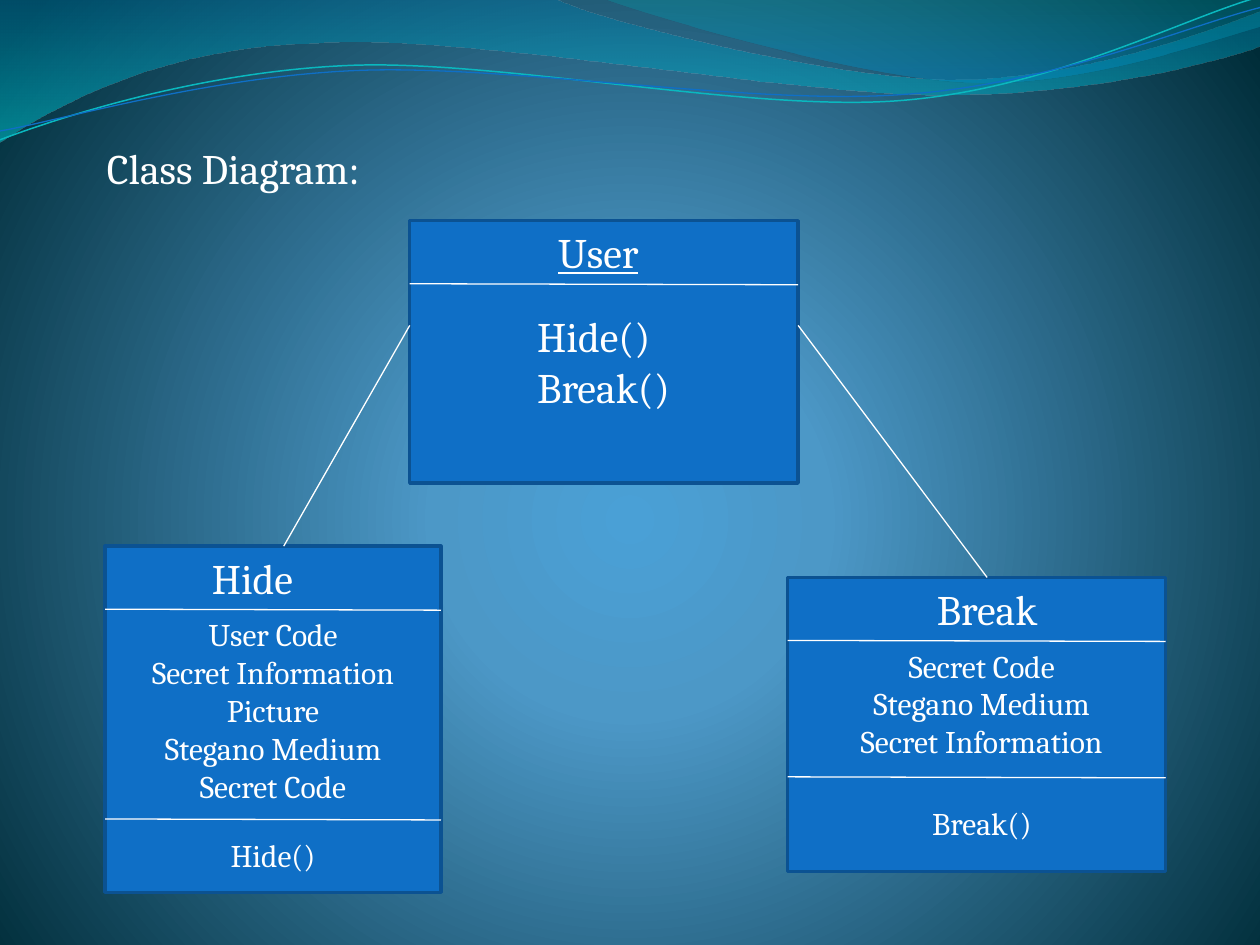
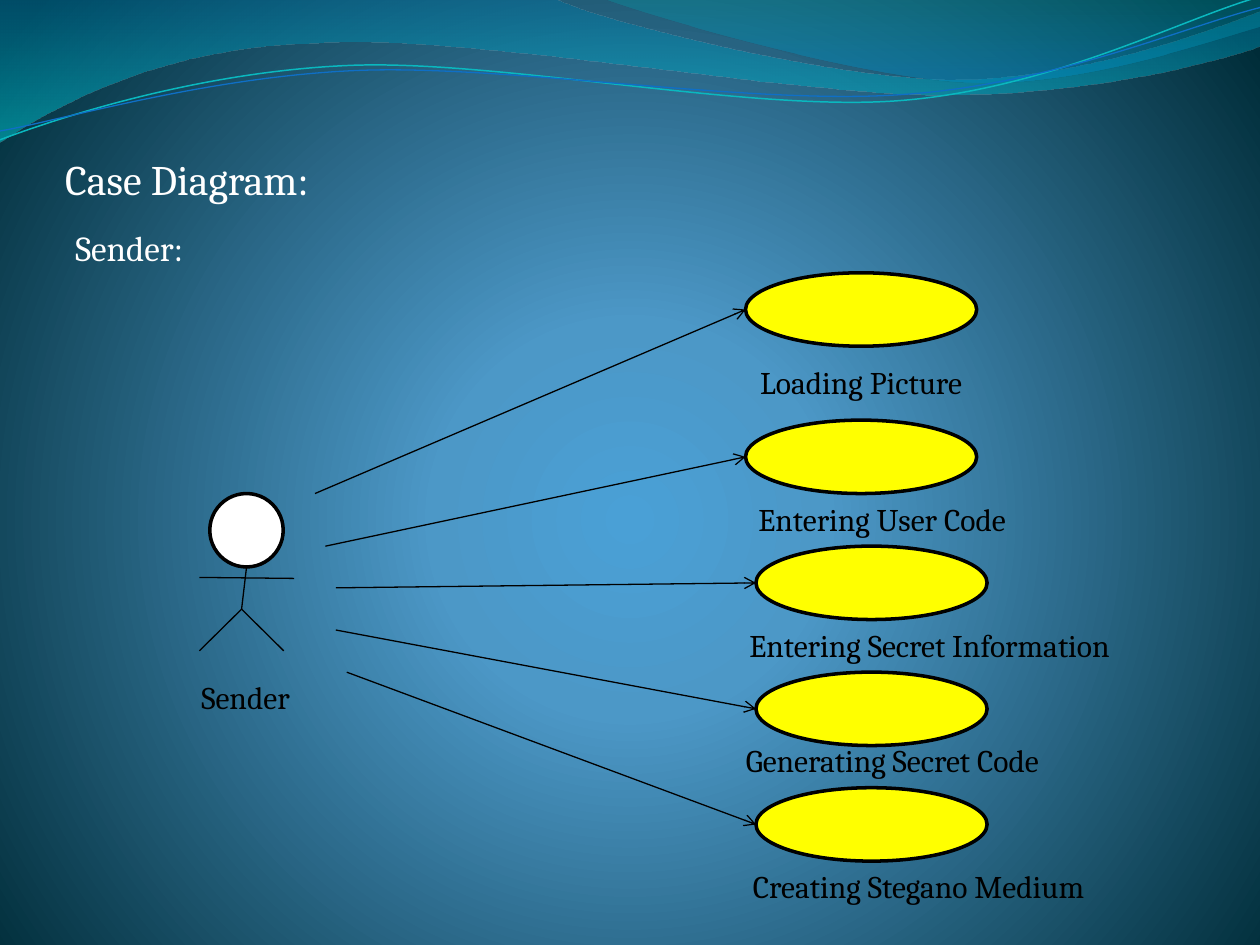
from dataclasses import dataclass

from pptx import Presentation
from pptx.dml.color import RGBColor
from pptx.enum.shapes import MSO_CONNECTOR, MSO_SHAPE
from pptx.enum.text import MSO_ANCHOR, MSO_AUTO_SIZE, PP_ALIGN
from pptx.oxml import parse_xml
from pptx.oxml.ns import nsdecls
from pptx.util import Cm, Pt


@dataclass(frozen=True)
class Theme:
    """Colours, type sizes and line widths of the deck."""
    font: str = "Cambria"
    white: str = "FFFFFF"
    black: str = "000000"
    blue: str = "0F6FC6"
    navy: str = "0B5292"
    teal: str = "0AB8BF"
    yellow: str = "FFFF00"
    title: int = 24
    sub: int = 20
    body: int = 18
    thick: float = 2
    thin: float = 0.75
    glow: tuple = ((0, "4AA0D6", 100), (25, "4C98C7", 100), (100, "002C38", 100))
    sea: tuple = ((0, "0074A1", 45), (100, "00C6CF", 55))
    foam: tuple = ((0, "00A1A9", 30), (80, "008BBF", 45))


THEME = Theme()
LEFT, MID = PP_ALIGN.LEFT, PP_ALIGN.CENTER
DOWN = '<a:lin ang="5400000" scaled="0"/>'
ROUND = ('<a:path path="circle"><a:fillToRect l="10000" t="110000" '
         'r="10000" b="100000"/></a:path>')
SLANT = 0.02

BAND = [(0, 0), (440, -1), (476, 17, 664, 63, 758, 63),
        (853, 63, 958, 26, 1000, 9), (1001, 36),
        (983, 44, 870, 76, 746, 75), (622, 75, 382, 28, 257, 34),
        (129, 36, 46, 83, -1, 113)]
CREST = [(479, -1), (509, 11, 682, 62, 769, 65),
         (856, 69, 961, 32, 1000, 21), (1000, 0)]
UPPER = [(0, 111), (48, 93, 158, 57, 277, 52),
         (395, 47, 593, 89, 713, 80), (833, 71, 938, 15, 998, -2)]
LOWER = [(0, 104), (47, 96, 164, 61, 283, 56),
         (403, 51, 597, 84, 717, 75), (836, 67, 941, 21, 1000, 6)]


def rgb(code):
    """Turn a hex code into a colour."""
    return RGBColor.from_string(code)


def blend(node, stops, shade):
    """Swap the solid fill of a node for a gradient."""
    marks = "".join(
        f'<a:gs pos="{pos * 1000}"><a:srgbClr val="{code}">'
        f'<a:alpha val="{alpha * 1000}"/></a:srgbClr></a:gs>'
        for pos, code, alpha in stops)
    old = node.xpath(".//a:solidFill")[0]
    old.getparent().replace(old, parse_xml(
        f'<a:gradFill {nsdecls("a")} rotWithShape="1">'
        f'<a:gsLst>{marks}</a:gsLst>{shade}</a:gradFill>'))


def bend(wave, route):
    """Turn each run of three control points into one curve."""
    legs = iter(wave.element.xpath(".//a:lnTo"))
    for part in route[1:]:
        group = [next(legs) for _ in range(len(part) // 2)]
        if len(group) == 3:
            curve = parse_xml(f'<a:cubicBezTo {nsdecls("a")}/>')
            group[0].addprevious(curve)
            for leg in group:
                curve.append(leg[0])
                leg.getparent().remove(leg)


def add_wave(slide, route, stops=None, code=None, width=0):
    """Draw a filled wave or a wavy line."""
    spots = [part[i:i + 2] for part in route for i in range(0, len(part), 2)]
    pen = slide.shapes.build_freeform(*spots[0], scale=Cm(25.4) / 1000)
    pen.add_line_segments(spots[1:], close=bool(stops))
    wave = pen.convert_to_shape()
    bend(wave, route)
    wave.shadow.inherit = False
    if stops:
        wave.fill.solid()
        blend(wave.element, stops, DOWN)
        wave.line.fill.background()
    else:
        wave.fill.background()
        wave.line.color.rgb = rgb(code)
        wave.line.width = Pt(width)
    return wave


def dress(layout, slide):
    """Give the layout its glow and its waves."""
    layout.background.fill.solid()
    blend(layout.element.xpath(".//p:bgPr")[0], THEME.glow, ROUND)
    waves = [add_wave(slide, BAND, THEME.sea),
             add_wave(slide, CREST, THEME.foam),
             add_wave(slide, UPPER, code=THEME.teal, width=0.85),
             add_wave(slide, LOWER, code=THEME.blue, width=THEME.thin)]
    for rank, wave in enumerate(waves):
        wave.element.xpath(".//p:cNvPr")[0].set("id", str(90 + rank))
        layout.shapes.element.insert(2 + rank, wave.element)


def write(frame, lines, size, code, align):
    """Fill a text frame with lines of one style."""
    frame.word_wrap = True
    frame.auto_size = MSO_AUTO_SIZE.NONE
    frame.vertical_anchor = MSO_ANCHOR.TOP
    frame.text = "\n".join(lines)
    for para in frame.paragraphs:
        para.alignment = align
        para.font.name = THEME.font
        para.font.size = Pt(size)
        para.font.color.rgb = rgb(code)


def place(shape, left, top, width, height):
    """Move and size a shape."""
    shape.left, shape.top = Cm(left), Cm(top)
    shape.width, shape.height = Cm(width), Cm(height)


def add_title(slide, text, left, top, width):
    """Set the title of a slide."""
    place(slide.shapes.title, left, top, width, 1.27)
    write(slide.shapes.title.text_frame, [text], THEME.title, THEME.white, LEFT)


def add_text(slide, lines, spot, size=THEME.body, code=THEME.white, align=MID):
    """Add a text box at left, top and width."""
    left, top, width = spot
    high = len(lines) * size * 0.042 + 0.25
    box = slide.shapes.add_textbox(Cm(left), Cm(top), Cm(width), Cm(high))
    write(box.text_frame, lines, size, code, align)
    return box


def add_form(slide, kind, area, fill, edge):
    """Add a filled and outlined preset shape."""
    form = slide.shapes.add_shape(kind, *map(Cm, area))
    form.shadow.inherit = False
    form.fill.solid()
    form.fill.fore_color.rgb = rgb(fill)
    form.line.color.rgb = rgb(edge)
    form.line.width = Pt(THEME.thick)


def add_line(slide, start, end, code, arrow=False):
    """Join two points, with an arrowhead if asked."""
    line = slide.shapes.add_connector(
        MSO_CONNECTOR.STRAIGHT, *map(Cm, (*start, *end)))
    line.line.color.rgb = rgb(code)
    line.line.width = Pt(THEME.thin)
    if arrow:
        line.element.xpath(".//a:ln")[0].append(
            parse_xml(f'<a:tailEnd {nsdecls("a")} type="arrow"/>'))
    line.element.spPr.append(parse_xml(f'<a:effectLst {nsdecls("a")}/>'))


def add_class(slide, area, rules):
    """Add a class box with its dividing rules."""
    left, top, width, _ = area
    add_form(slide, MSO_SHAPE.RECTANGLE, area, THEME.blue, THEME.navy)
    for rule in rules:
        add_line(slide, (left, top + rule), (left + width, top + rule + SLANT),
                 THEME.white)


def add_actor(slide):
    """Draw the stick figure and its label."""
    add_form(slide, MSO_SHAPE.OVAL, (4.23, 9.95, 1.48, 1.48),
             THEME.white, THEME.black)
    hip = (4.87, 12.28)
    limbs = [((4.97, 11.43), hip), (hip, (4.02, 13.12)),
             (hip, (5.72, 13.12)), ((4.02, 11.64), (5.93, 11.64 + SLANT))]
    for start, end in limbs:
        add_line(slide, start, end, THEME.black)
    add_text(slide, ["Sender"], (3.81, 13.55, 3.18), code=THEME.black,
             align=LEFT)


def add_case(slide, text, left, top, spot, start):
    """Add a use case: oval, label and arrow."""
    width, height = 4.66, 1.48
    add_form(slide, MSO_SHAPE.OVAL, (left, top, width, height),
             THEME.yellow, THEME.black)
    add_text(slide, [text], spot, code=THEME.black)
    add_line(slide, start, (left, top + height / 2), THEME.black, arrow=True)


def draw_class(slide):
    """Build the class diagram."""
    add_title(slide, "Class Diagram:", 1.9, 2.75, 7.2)
    add_class(slide, (8.26, 4.45, 7.83, 5.29), [1.27])
    add_class(slide, (2.12, 11.01, 6.77, 6.98), [1.27, 5.5])
    add_class(slide, (15.88, 11.64, 7.62, 5.93), [1.27, 4.02])

    user = add_text(slide, ["User"], (11, 4.45, 2.33), THEME.title, align=LEFT)
    user.text_frame.paragraphs[0].font.underline = True
    add_text(slide, ["Hide()", "Break()"], (10.58, 6.14, 5.29), THEME.title,
             align=LEFT)

    add_text(slide, ["Hide"], (4.02, 11.01, 2.54), THEME.title, align=LEFT)
    add_text(slide, ["User Code", "Secret Information", "Picture",
                     "Stegano Medium", "Secret Code"], (0.85, 12.28, 9.31))
    add_text(slide, ["Hide()"], (3.39, 16.72, 4.23))

    add_text(slide, ["Break"], (17.57, 11.64, 4.66), THEME.title)
    add_text(slide, ["Secret Code", "Stegano Medium", "Secret Information"],
             (15.45, 12.91, 8.68))
    add_text(slide, ["Break()"], (17.36, 16.09, 4.87))

    add_line(slide, (5.72, 11.01), (8.26, 6.56), THEME.white)
    add_line(slide, (16.09, 6.56), (19.9, 11.64), THEME.white)


def draw_case(slide):
    """Build the use case diagram."""
    add_title(slide, "Case Diagram:", 1.06, 2.96, 6.56)
    add_text(slide, ["Sender:"], (1.27, 4.45, 5.93), THEME.sub, align=LEFT)
    add_actor(slide)
    cases = [
        ("Loading Picture", 15.03, 5.5, (13.76, 7.2, 7.2), (6.35, 9.95)),
        ("Entering User Code", 15.03, 8.47, (13.55, 9.95, 8.47), (6.56, 11.01)),
        ("Entering Secret Information", 15.24, 11.01, (13.34, 12.49, 10.8),
         (6.77, 11.85)),
        ("Generating Secret Code", 15.24, 13.55, (13.12, 14.82, 9.74),
         (6.77, 12.7)),
        ("Creating Stegano Medium", 15.24, 15.88, (13.97, 17.36, 9.1),
         (6.99, 13.55)),
    ]
    for case in cases:
        add_case(slide, *case)


def main():
    """Build and save the deck."""
    deck = Presentation()
    deck.slide_width, deck.slide_height = Cm(25.4), Cm(19.05)
    layout = deck.slide_layouts[5]
    first, second = (deck.slides.add_slide(layout) for _ in range(2))
    dress(layout, first)
    draw_class(first)
    draw_case(second)
    deck.save("out.pptx")


if __name__ == "__main__":
    main()
